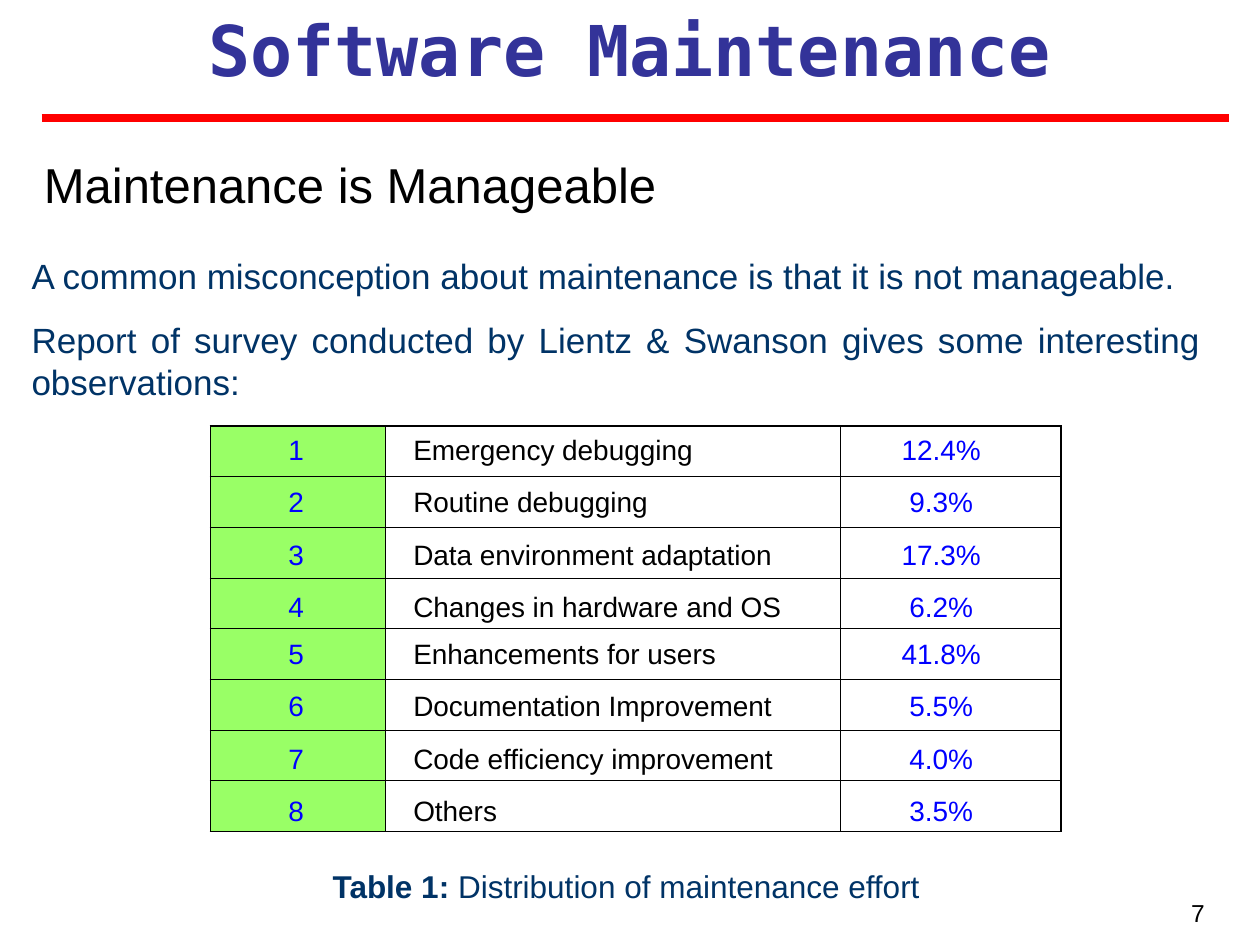
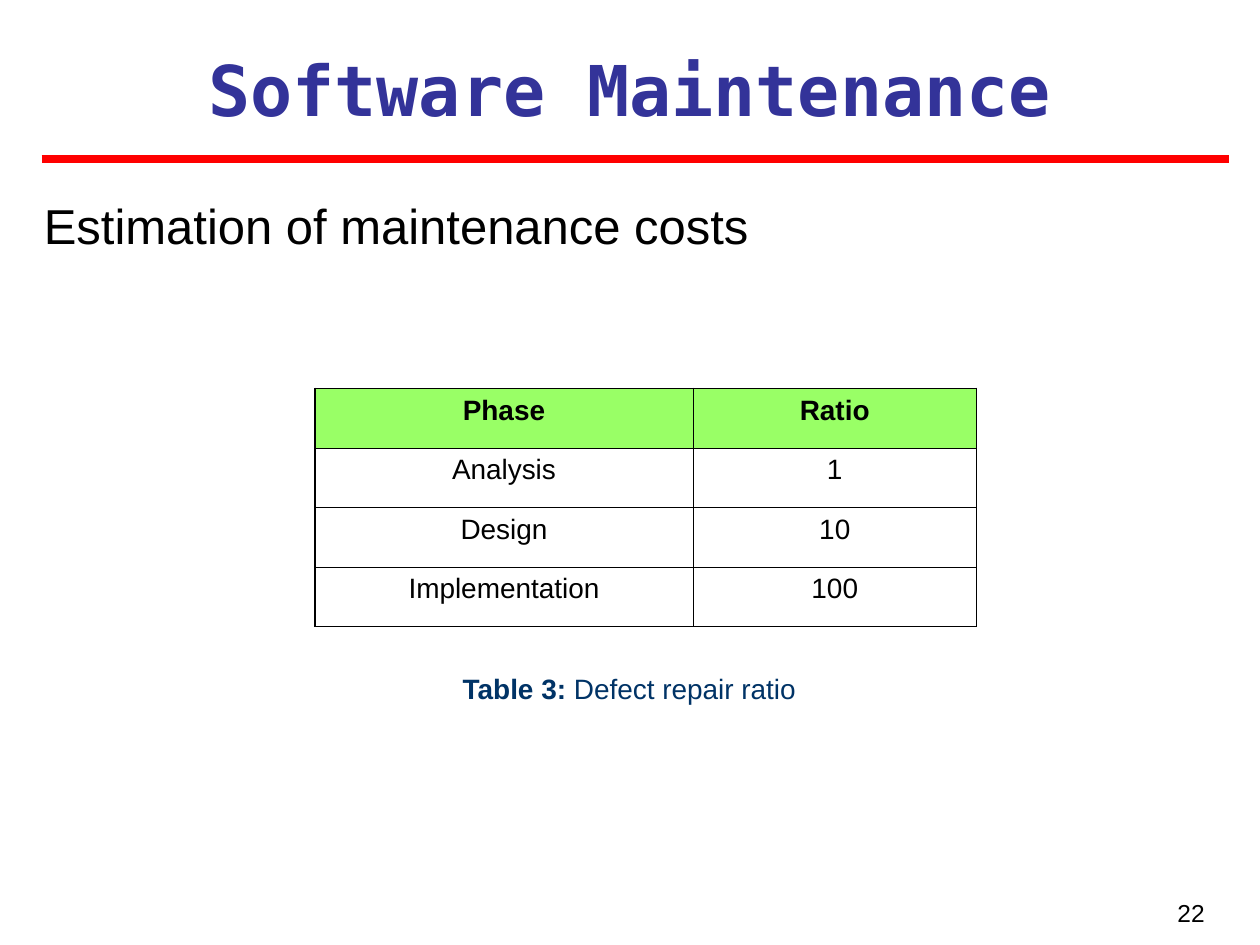
from dataclasses import dataclass

from lxml import etree
from pptx import Presentation
from pptx import util as u
from pptx.dml.color import RGBColor
from pptx.enum import shapes, text
from pptx.oxml import ns

Inches, Pt = u.Inches, u.Pt
ALIGN, ANCHOR = text.PP_ALIGN, text.MSO_ANCHOR


@dataclass(frozen=True)
class Theme:
    body_font: str = "Arial"
    title_font: str = "DejaVu Sans Mono"
    black: str = "000000"
    white: str = "FFFFFF"
    title: str = "333399"
    navy: str = "003366"
    blue: str = "0000FF"
    red: str = "FF0000"
    green: str = "99FF66"
    title_size: float = 40
    heading_size: float = 28
    body_size: float = 20
    caption_size: float = 18
    cell_size: float = 16
    number_size: float = 14
    rule_width: float = 4.5
    outer_border: float = 1.08
    inner_border: float = 0.45


class Deck:
    def __init__(self, prs, theme):
        self.prs = prs
        self.theme = theme
        self.s = None

    def format(self, p, size, color, align=ALIGN.LEFT, bold=None, name=None):
        p.alignment = align
        p.font.size = Pt(size)
        p.font.name = name or self.theme.body_font
        p.font.color.rgb = RGBColor.from_string(color)
        p.font.bold = bold

    def slide(self, heading, number, top=0):
        t = self.theme
        self.s = self.prs.slides.add_slide(self.prs.slide_layouts[5])
        self.s.background.fill.solid()
        self.s.background.fill.fore_color.rgb = RGBColor.from_string(t.white)
        self.title("Software Maintenance", top)
        self.rule(top + 0.94)
        self.text((0.25, top + 1.18, 8.42, 0.57), [heading], t.heading_size,
                  t.black, inset=(0.1, 0.05))
        self.text((7.33, 7.08, 2.33, 0.42), [number], t.number_size,
                  t.black, ALIGN.RIGHT, inset=(0.1, 0.05))

    def title(self, words, top):
        t = self.theme
        sp = self.s.shapes.title
        sp.left, sp.top, sp.width, sp.height = map(Inches, (0.33, top, 9.33, 0.77))
        tf = sp.text_frame
        tf.vertical_anchor = ANCHOR.TOP
        tf.auto_size = text.MSO_AUTO_SIZE.NONE
        tf.text = words
        self.format(tf.paragraphs[0], t.title_size, t.title, ALIGN.CENTER,
                    True, t.title_font)

    def rule(self, y):
        line = self.s.shapes.add_connector(
            shapes.MSO_CONNECTOR.STRAIGHT,
            Inches(0.33), Inches(y), Inches(9.75), Inches(y))
        line.line.color.rgb = RGBColor.from_string(self.theme.red)
        line.line.width = Pt(self.theme.rule_width)
        etree.SubElement(line._element.spPr, ns.qn("a:effectLst"))

    def text(self, at, lines, size, color, align=ALIGN.LEFT, inset=(0, 0), gap=0):
        tf = self.s.shapes.add_textbox(*map(Inches, at)).text_frame
        tf.word_wrap = True
        tf.margin_left = tf.margin_right = Inches(inset[0])
        tf.margin_top = tf.margin_bottom = Inches(inset[1])
        for i, line in enumerate(lines):
            p = tf.add_paragraph() if i else tf.paragraphs[0]
            p.text = line
            if i:
                p.space_before = Pt(gap)
            self.format(p, size, color, align)
        return tf

    def caption(self, at, label, words, size):
        tf = self.text(at, [label], size, self.theme.navy, ALIGN.CENTER)
        p = tf.paragraphs[0]
        p.runs[0].font.bold = True
        r = p.add_run()
        r.text = " " + words

    def borders(self, cell, outer):
        t = self.theme
        props = cell._tc.get_or_add_tcPr()
        for side in "LRTB":
            width = t.outer_border if side in outer else t.inner_border
            ln = etree.SubElement(props, ns.qn(f"a:ln{side}"), w=str(int(Pt(width))))
            fill = etree.SubElement(ln, ns.qn("a:solidFill"))
            etree.SubElement(fill, ns.qn("a:srgbClr"), val=t.black)

    def table(self, left, top, height, widths, row_count, is_key):
        table = self.s.shapes.add_table(
            row_count, len(widths), Inches(left), Inches(top),
            Inches(sum(widths)), Inches(height)).table
        table.first_row = table.horz_banding = False
        for i, width in enumerate(widths):
            table.columns[i].width = Inches(width)
        for j in range(row_count):
            for i in range(len(widths)):
                cell = table.cell(j, i)
                edges = {"L": i == 0, "R": i == len(widths) - 1,
                         "T": j == 0, "B": j == row_count - 1}
                self.borders(cell, [side for side in edges if edges[side]])
                if is_key(j, i):
                    cell.fill.solid()
                    cell.fill.fore_color.rgb = RGBColor.from_string(self.theme.green)
                else:
                    cell.fill.background()
        return table

    def fill_table(self, table, rows):
        t = self.theme
        for j, row in enumerate(rows):
            for i, value in enumerate(row):
                cell = table.cell(j, i)
                cell.text = value
                self.format(cell.text_frame.paragraphs[0], t.cell_size,
                            t.black, ALIGN.CENTER, j == 0)


def maintenance_effort(deck):
    t = deck.theme
    deck.slide("Maintenance is Manageable", "7")
    deck.text((0.25, 2.02, 9.28, 1.17), [
        "A common misconception about maintenance is that it is not manageable.",
        "Report of survey conducted by Lientz & Swanson gives some interesting observations:",
    ], t.body_size, t.navy, ALIGN.JUSTIFY, gap=12.5)
    efforts = [
        ("Emergency debugging", "12.4%"),
        ("Routine debugging", "9.3%"),
        ("Data environment adaptation", "17.3%"),
        ("Changes in hardware and OS", "6.2%"),
        ("Enhancements for users", "41.8%"),
        ("Documentation Improvement", "5.5%"),
        ("Code efficiency improvement", "4.0%"),
        ("Others", "3.5%"),
    ]
    deck.table(1.67, 3.38, 3.22, (1.39, 3.61, 1.75), len(efforts),
               lambda row, column: column == 0)
    group_size, group_pitch, row_pitch = 4, 1.62, 1.25 / 3
    for n, (activity, share) in enumerate(efforts):
        group, place = divmod(n, group_size)
        y = 3.43 + group * group_pitch + place * row_pitch
        for x, width, words, color, align in (
            (1.85, 1, str(n + 1), t.blue, ALIGN.CENTER),
            (3.28, 3.58, activity, t.black, ALIGN.LEFT),
            (6.97, 1, share, t.blue, ALIGN.CENTER),
        ):
            deck.text((x, y, width, 0.27), [words], t.cell_size, color, align)
    deck.caption((0.33, 6.88, 9.28, 0.3), "Table 1:",
                 "Distribution of maintenance effort", t.caption_size)


def repair_ratio(deck):
    deck.slide("Estimation of maintenance costs", "22", top=0.32)
    rows = [
        ("Phase", "Ratio"),
        ("Analysis", "1"),
        ("Design", "10"),
        ("Implementation", "100"),
    ]
    table = deck.table(2.5, 37 / 12, 1.89, (3, 2.25), len(rows),
                       lambda row, column: row == 0)
    deck.fill_table(table, rows)
    deck.caption((2.08, 5.33, 5.83, 0.27), "Table 3:",
                 "Defect repair ratio", deck.theme.cell_size)


def main():
    prs = Presentation()
    prs.slide_width, prs.slide_height = Inches(10), Inches(7.5)
    deck = Deck(prs, Theme())
    maintenance_effort(deck)
    repair_ratio(deck)
    prs.save("out.pptx")


if __name__ == "__main__":
    main()
